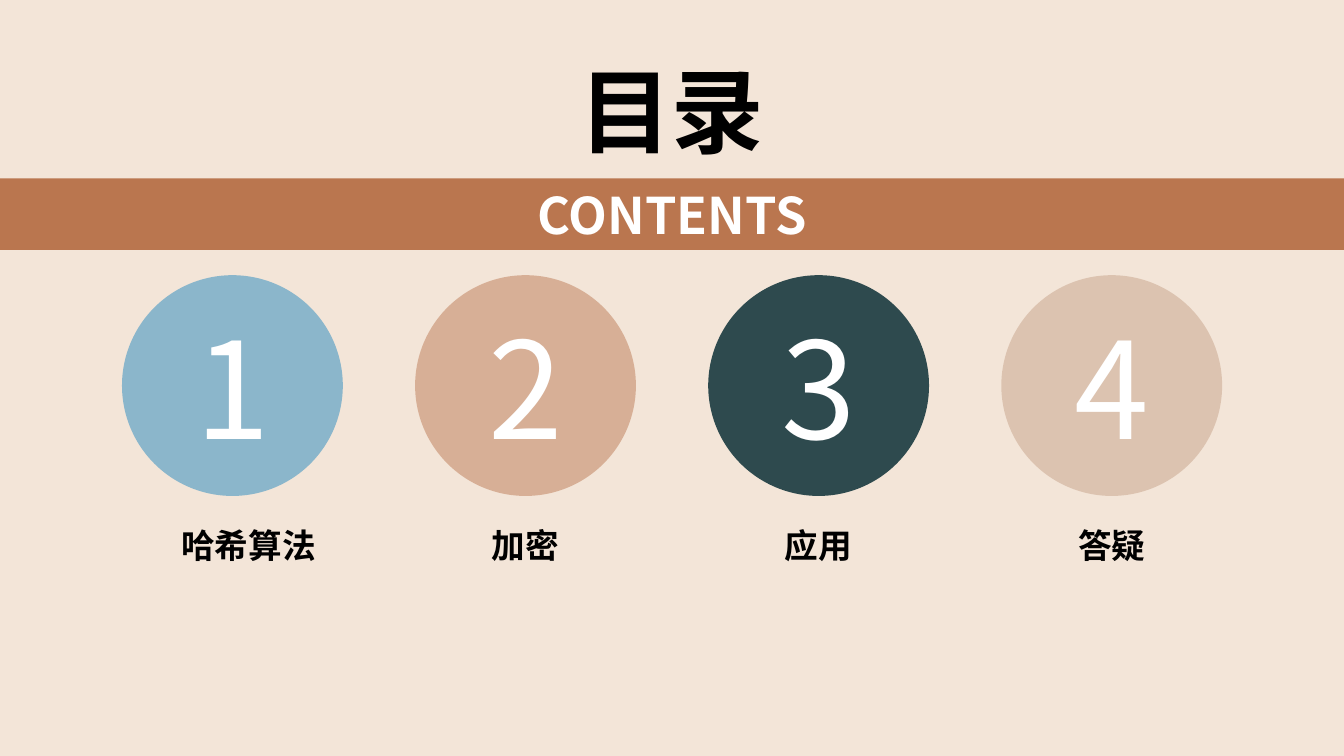
from pptx import Presentation
from pptx.dml.color import RGBColor
from pptx.enum.shapes import MSO_SHAPE as SHAPE
from pptx.enum.text import MSO_ANCHOR as ANCHOR, PP_ALIGN as ALIGN
from pptx.oxml.ns import qn
from pptx.util import Inches, Pt
from lxml import etree

COLORS = {
    "cream": "F3E5D8",
    "blue": "8BB6CB",
    "rust": "BA764F",
    "teal": "2E4A4E",
    "sand": "C5A086",
    "white": "FFFFFF",
    "black": "000000",
}
FONT = "Noto Sans CJK SC"


def write(shape, text, size, color="black", bold=False, wrap=True):
    frame = shape.text_frame
    frame.word_wrap = wrap
    frame.vertical_anchor = ANCHOR.MIDDLE
    paragraph = frame.paragraphs[0]
    paragraph.alignment = ALIGN.CENTER
    run = paragraph.add_run()
    run.text = text
    run.font.size = Pt(size)
    run.font.bold = bold
    run.font.name = FONT
    run.font.color.rgb = RGBColor.from_string(COLORS[color])
    etree.SubElement(run.font._element, qn("a:ea"), typeface=FONT)


def add_filled(kind, left, top, width, height, color, opacity=100):
    shape = slide.shapes.add_shape(
        kind, Inches(left), Inches(top), Inches(width), Inches(height))
    shape.shadow.inherit = False
    shape.line.fill.background()
    shape.fill.solid()
    shape.fill.fore_color.rgb = RGBColor.from_string(COLORS[color])
    if opacity < 100:
        tint = shape._element.spPr.find(qn("a:solidFill"))[0]
        etree.SubElement(tint, qn("a:alpha"), val=str(opacity * 1000))
    return shape


deck = Presentation()
deck.slide_width = Inches(13.33)
deck.slide_height = Inches(7.5)
slide = deck.slides.add_slide(deck.slide_layouts[6])
slide.background.fill.solid()
slide.background.fill.fore_color.rgb = RGBColor.from_string(COLORS["cream"])

title = slide.shapes.add_textbox(Inches(5.21), Inches(0.48), Inches(2.91), Inches(1.21))
write(title, "目录", size=66, bold=True)

banner = add_filled(SHAPE.RECTANGLE, 0, 1.77, 13.33, 0.71, "rust")
write(banner, "CONTENTS", size=36, color="white", bold=True)

diameter = 2.19
first_left = 1.21
pitch = 2.907
chapters = [
    ("哈希算法", "blue", 100, 1.53, 0.16),
    ("加密", "rust", 48, 0.87, 0),
    ("应用", "teal", 100, 0.87, 0),
    ("答疑", "sand", 48, 0.87, 0),
]
for index, (chapter, color, opacity, label_width, shift) in enumerate(chapters):
    left = first_left + index * pitch
    circle = add_filled(SHAPE.OVAL, left, 2.73, diameter, diameter, color, opacity)
    write(circle, str(index + 1), size=96, color="white")

    label_left = left + (diameter - label_width) / 2 + shift
    label = slide.shapes.add_textbox(
        Inches(label_left), Inches(5.16), Inches(label_width), Inches(0.5))
    write(label, chapter, size=24, bold=True, wrap=False)

deck.save("out.pptx")
